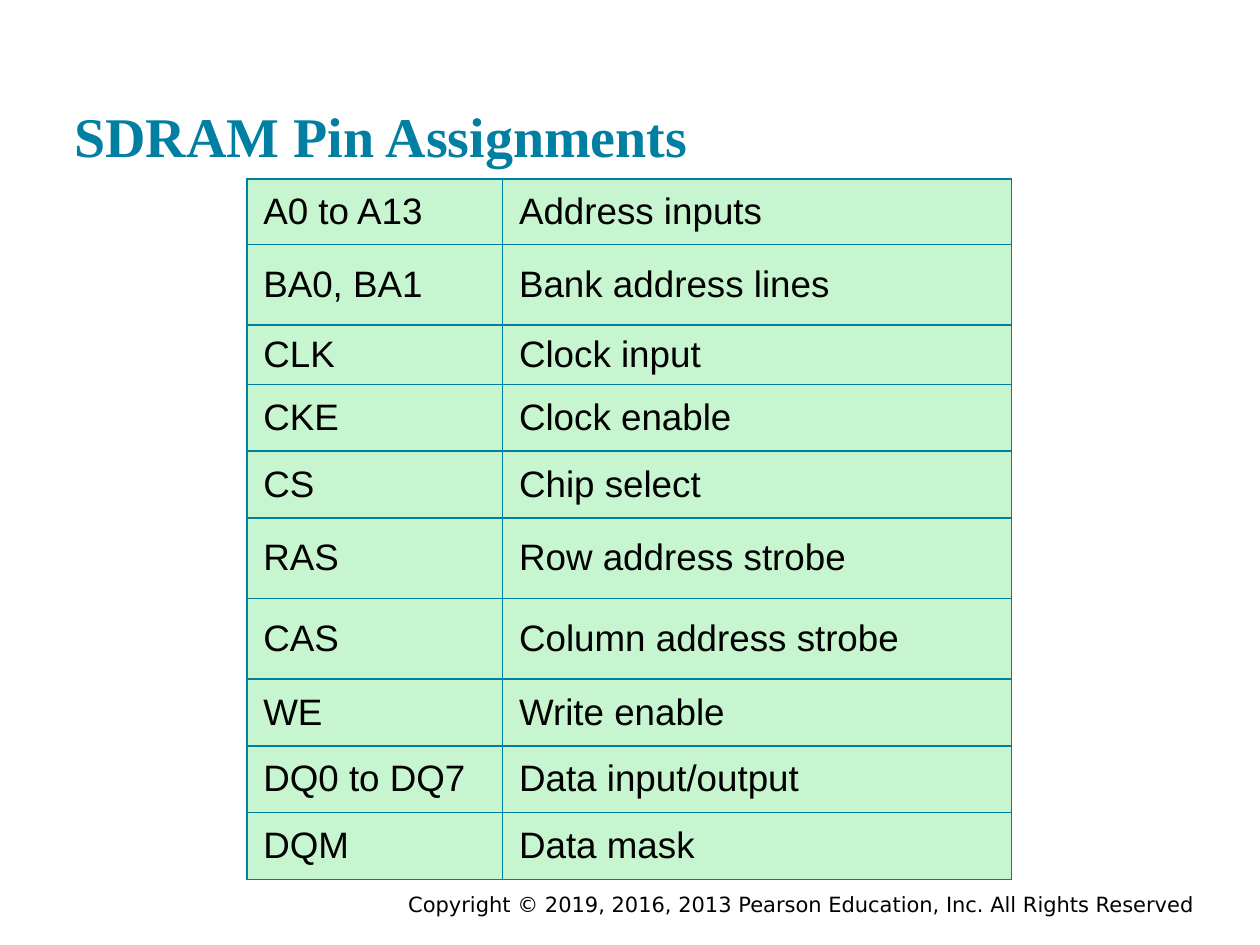
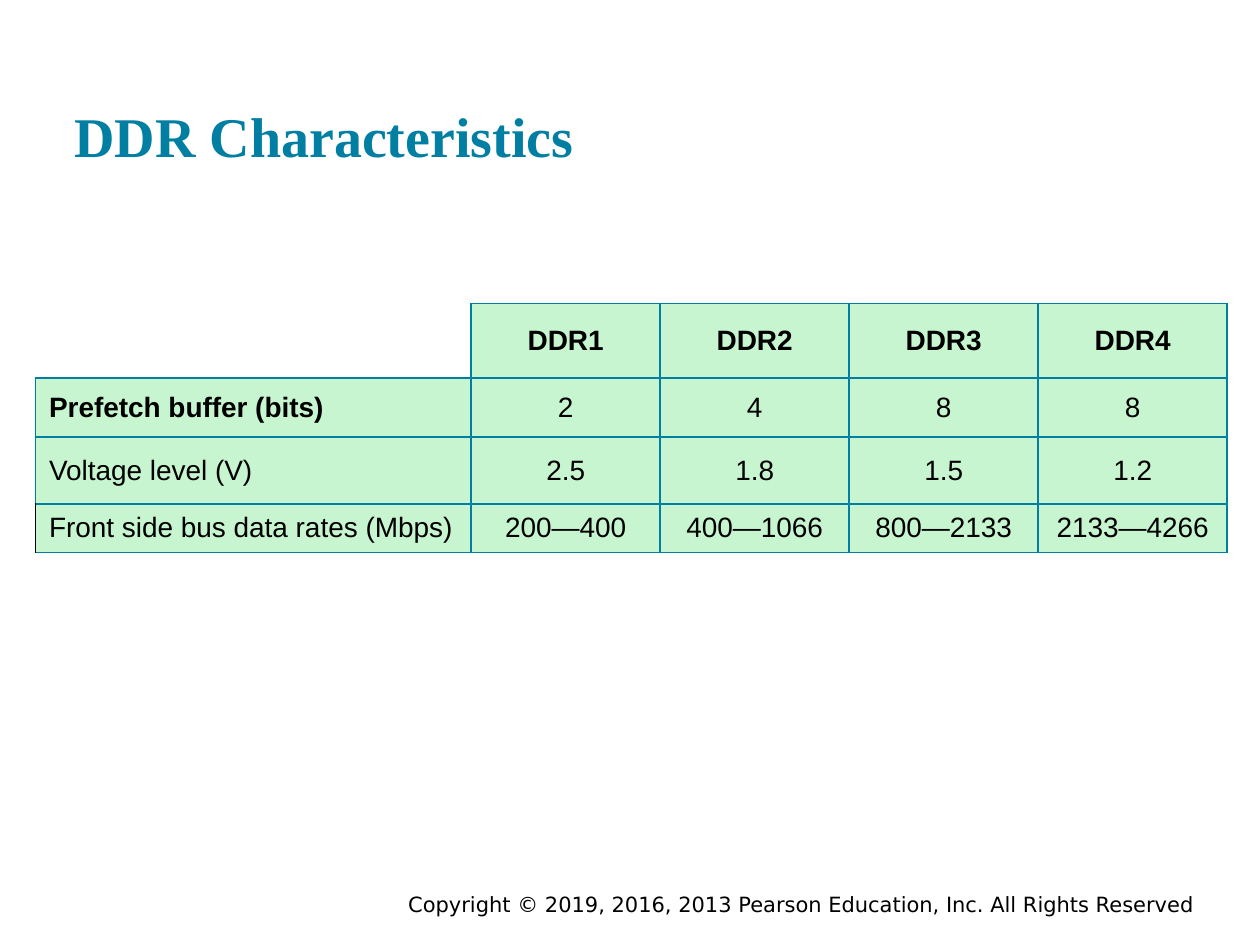
import pptx
import pptx.dml.color
import pptx.enum.text
import pptx.oxml
import pptx.oxml.ns
import pptx.util
from pptx.util import Inches

RGBColor = pptx.dml.color.RGBColor
PP_ALIGN = pptx.enum.text.PP_ALIGN
MSO_ANCHOR = pptx.enum.text.MSO_ANCHOR

TEAL = RGBColor(0x00, 0x7F, 0xA3)
MINT = RGBColor(0xC6, 0xF5, 0xCF)
BLACK = RGBColor(0x00, 0x00, 0x00)

TITLE_BOX = (0.49, 0.22, 9.31, 1.22)
FOOTER_BOX = (1.75, 7.03, 7.83, 0.22)
COPYRIGHT = "Copyright © 2019, 2016, 2013 Pearson Education, Inc. All Rights Reserved"

PINS = [
    ("A0 to A13", "Address inputs"),
    ("BA0, BA1", "Bank address lines"),
    ("CLK", "Clock input"),
    ("CKE", "Clock enable"),
    ("CS", "Chip select"),
    ("RAS", "Row address strobe"),
    ("CAS", "Column address strobe"),
    ("WE", "Write enable"),
    ("DQ0 to DQ7", "Data input/output"),
    ("DQM", "Data mask"),
]
PIN_HEIGHTS = [0.52, 0.64, 0.47, 0.53, 0.53, 0.64, 0.64, 0.53, 0.53, 0.53]

DDR = [
    ("", "DDR1", "DDR2", "DDR3", "DDR4"),
    ("Prefetch buffer (bits)", "2", "4", "8", "8"),
    ("Voltage level (V)", "2.5", "1.8", "1.5", "1.2"),
    ("Front side bus data rates (Mbps)", "200—400", "400—1066", "800—2133", "2133—4266"),
]
DDR_HEIGHTS = [0.59, 0.47, 0.53, 0.36]


def set_margins(obj, x, y):
    obj.margin_left = obj.margin_right = Inches(x)
    obj.margin_top = obj.margin_bottom = Inches(y)


def add_run(p, text, font, size, color, bold=False):
    r = p.add_run()
    r.text = text
    r.font.name = font
    r.font.size = pptx.util.Pt(size)
    r.font.bold = bold
    r.font.color.rgb = color


def set_borders(cell, colors):
    tcPr = cell._tc.get_or_add_tcPr()
    for side in "LRTB":
        if side in colors:
            tcPr.append(pptx.oxml.parse_xml(
                f'<a:ln{side} {pptx.oxml.ns.nsdecls("a")} w="12700"><a:solidFill>'
                f'<a:srgbClr val="{colors[side]}"/></a:solidFill></a:ln{side}>'))


def add_title(s, box, text):
    sp = s.shapes.title
    sp.left, sp.top, sp.width, sp.height = map(Inches, box)
    tf = sp.text_frame
    tf.word_wrap = True
    tf.auto_size = pptx.enum.text.MSO_AUTO_SIZE.NONE
    tf.vertical_anchor = MSO_ANCHOR.BOTTOM
    set_margins(tf, 0.1, 0.1)
    p = tf.paragraphs[0]
    p.alignment = PP_ALIGN.LEFT
    add_run(p, text, "Times New Roman", 32, TEAL, True)


def add_footer(s, box):
    tf = s.shapes.add_textbox(*map(Inches, box)).text_frame
    tf.word_wrap = True
    set_margins(tf, 0.1, 0.05)
    p = tf.paragraphs[0]
    p.alignment = PP_ALIGN.RIGHT
    add_run(p, COPYRIGHT, "DejaVu Sans", 12, BLACK)


def add_grid(s, left, top, widths, heights, rows, size, margin,
             centered=False, bold_cells=(), borders=None):
    frame = s.shapes.add_table(len(heights), len(widths), Inches(left), Inches(top),
                               Inches(sum(widths)), Inches(sum(heights)))
    tbl = frame.table
    tbl.first_row = tbl.horz_banding = False
    for col, width in zip(tbl.columns, widths):
        col.width = Inches(width)
    for row, height in zip(tbl.rows, heights):
        row.height = Inches(height)
    for i, texts in enumerate(rows):
        for j, text in enumerate(texts):
            cell = tbl.cell(i, j)
            set_borders(cell, (borders or {}).get((i, j), dict.fromkeys("LRTB", TEAL)))
            if not text:
                cell.fill.background()
                continue
            cell.fill.solid()
            cell.fill.fore_color.rgb = MINT
            cell.vertical_anchor = MSO_ANCHOR.MIDDLE
            set_margins(cell, margin, 0.06)
            p = cell.text_frame.paragraphs[0]
            p.alignment = PP_ALIGN.CENTER if centered and j else PP_ALIGN.LEFT
            add_run(p, text, "Arial", size, BLACK, (i, j) in bold_cells)


def add_base_slide(prs, title):
    s = prs.slides.add_slide(prs.slide_layouts[5])
    add_footer(s, FOOTER_BOX)
    add_title(s, TITLE_BOX, title)
    return s


def add_pin_slide(prs):
    s = add_base_slide(prs, "SDRAM Pin Assignments")
    add_grid(s, 1.96, 1.42, [2.03, 4.04], PIN_HEIGHTS, PINS, 21, 0.13)


def add_ddr_slide(prs):
    s = add_base_slide(prs, "DDR Characteristics")
    bold_cells = [(0, j) for j in range(1, 5)] + [(1, 0)]
    borders = {
        (0, 0): {"R": TEAL, "B": TEAL},
        (3, 0): {"L": BLACK, "R": TEAL, "T": TEAL, "B": TEAL},
    }
    add_grid(s, 0.28, 2.41, [3.46] + [1.5] * 4, DDR_HEIGHTS, DDR, 16, 0.11,
             True, bold_cells, borders)


def main():
    prs = pptx.Presentation()
    prs.slide_width, prs.slide_height = Inches(10), Inches(7.5)
    add_pin_slide(prs)
    add_ddr_slide(prs)
    prs.save("out.pptx")


if __name__ == "__main__":
    main()
